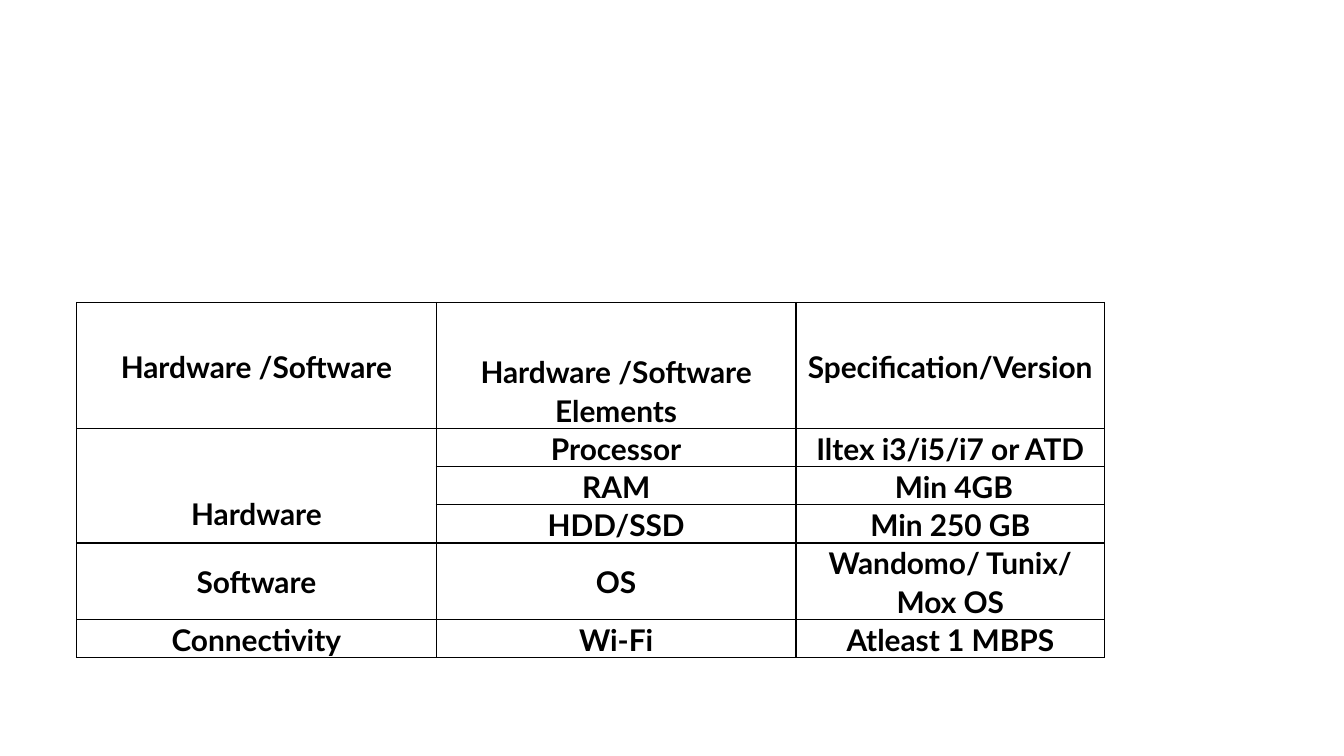
from lxml import etree
from pptx import Presentation
from pptx.dml.color import RGBColor
from pptx.enum.text import MSO_ANCHOR, PP_ALIGN
from pptx.oxml.ns import qn
from pptx.util import Inches, Pt

BLACK = RGBColor(0, 0, 0)
CENTER, MIDDLE = PP_ALIGN.CENTER, MSO_ANCHOR.MIDDLE
SLIDE_W = Inches(10)
SLIDE_H = SLIDE_W * 9 // 16
BOX = (0.057, 0.4, 0.765, 0.415)
COL_UNITS = (2.68, 2.68, 2.3)
ROW_UNITS = (0.69, 0.26, 0.26, 0.26, 0.54, 0.26)
ROWS = (
    ("Hardware /Software", "Hardware /Software Elements", "Specification/Version"),
    ("Hardware", "Processor", "Iltex i3/i5/i7 or ATD"),
    ("", "RAM", " Min 4GB"),
    ("", "HDD/SSD", "Min 250 GB"),
    ("Software", "OS", "Wandomo/ Tunix/ Mox OS"),
    ("Connectivity", "Wi-Fi", "Atleast 1 MBPS"),
)
TOP_MARGINS = {(0, 1): Inches(0.37), (1, 0): Inches(0.4)}
CELL = {"vertical_anchor": MIDDLE, "margin_left": Inches(0.07),
        "margin_right": Inches(0.07), "margin_top": 0, "margin_bottom": 0}
PARAGRAPH = {"alignment": CENTER, "line_spacing": 1.07, "space_after": Pt(8)}
FONT = {"name": "Lato", "size": Pt(16), "bold": True}


def set_format(target, values):
    """Set each named attribute on the target."""
    for name, value in values.items():
        setattr(target, name, value)


def add_borders(cell):
    """Draw a thin black line on all four sides of a cell."""
    tc_pr = cell._tc.get_or_add_tcPr()
    for side in ("lnL", "lnR", "lnT", "lnB"):
        ln = etree.SubElement(tc_pr, qn(f"a:{side}"), w=str(Pt(0.75)))
        fill = etree.SubElement(ln, qn("a:solidFill"))
        etree.SubElement(fill, qn("a:srgbClr"), val=str(BLACK))


def fill_cell(cell, text, top):
    """Format one cell and write its text."""
    set_format(cell, {**CELL, "margin_top": top})
    add_borders(cell)
    cell.fill.background()
    p = cell.text_frame.paragraphs[0]
    set_format(p, PARAGRAPH)
    set_format(p.font, FONT)
    if text:
        r = p.add_run()
        r.text = text
        set_format(r.font, FONT)
        r.font.color.rgb = BLACK


def add_requirements(s, left, top, width, height):
    """Place the requirements table in the given box."""
    table = s.shapes.add_table(len(ROWS), len(COL_UNITS), left, top, width, height).table
    set_format(table, {"first_row": False, "horz_banding": False})
    for column, units in zip(table.columns, COL_UNITS):
        column.width = int(width * units / sum(COL_UNITS))
    for row, units in zip(table.rows, ROW_UNITS):
        row.height = int(height * units / sum(ROW_UNITS))
    for i, texts in enumerate(ROWS):
        for j, text in enumerate(texts):
            fill_cell(table.cell(i, j), text, TOP_MARGINS.get((i, j), 0))
    table.cell(1, 0).merge(table.cell(3, 0))


def main():
    """Build and save the slide."""
    prs = Presentation()
    set_format(prs, {"slide_width": SLIDE_W, "slide_height": SLIDE_H})
    s = prs.slides.add_slide(prs.slide_layouts[6])
    sizes = (SLIDE_W, SLIDE_H) * 2
    add_requirements(s, *(int(share * size) for share, size in zip(BOX, sizes)))
    prs.save("out.pptx")


if __name__ == "__main__":
    main()
